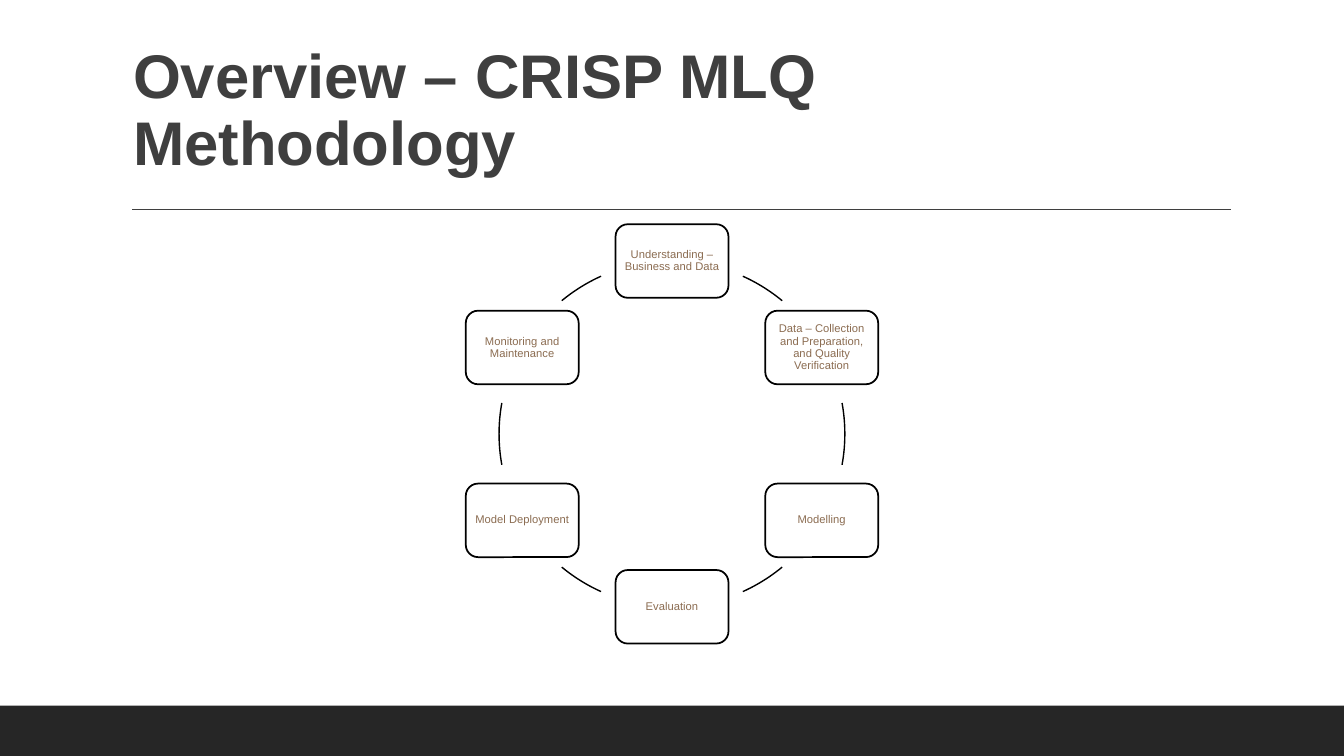
import math

from pptx import Presentation
from pptx import util as u
from pptx.dml.color import RGBColor
from pptx.enum import shapes, text
from pptx.oxml import parse_xml
from pptx.oxml.ns import nsdecls

FONT = "Arial"
WHITE = RGBColor(0xFF, 0xFF, 0xFF)
BLACK = RGBColor(0, 0, 0)
CHARCOAL = RGBColor(0x3F, 0x3F, 0x3F)
FOOTER = RGBColor(0x26, 0x26, 0x26)
BROWN = RGBColor(0x8B, 0x6C, 0x51)

PHASES = [
    "Understanding – Business and Data",
    "Data – Collection and Preparation, and Quality Verification",
    "Modelling",
    "Evaluation",
    "Model Deployment",
    "Monitoring and Maintenance",
]
# Start and end angles of the links on the right half of the ring;
# the left half repeats them half a turn later
HALF_RING = [(294.2, 309.6), (349.7, 10.3), (50.4, 65.8)]
LINKS = HALF_RING + [(a + 180, b + 180) for a, b in HALF_RING]


def write(frame, words, size, color, insets, anchor, align, bold=False):
    frame.word_wrap = True
    frame.vertical_anchor = anchor
    (frame.margin_left, frame.margin_top,
     frame.margin_right, frame.margin_bottom) = map(u.Inches, insets)
    line = frame.paragraphs[0]
    line.alignment = align
    line.line_spacing = 0.9
    run = line.add_run()
    run.text = words
    run.font.name = FONT
    run.font.size = u.Pt(size)
    run.font.bold = bold
    run.font.color.rgb = color


def add_preset(slide, kind, left, top, width, height):
    shape = slide.shapes.add_shape(
        kind, *map(u.Inches, (left, top, width, height)))
    shape.shadow.inherit = False
    return shape


def add_footer(slide, left, top, width, height):
    band = add_preset(slide, shapes.MSO_SHAPE.RECTANGLE,
                      left, top, width, height)
    band.fill.solid()
    band.fill.fore_color.rgb = FOOTER
    band.line.fill.background()


def add_header(slide, left, top, width, height):
    # Rule under the title
    rule_left, rule_top = left + 0.11, top + height + 0.21
    rule = slide.shapes.add_connector(
        shapes.MSO_CONNECTOR.STRAIGHT,
        u.Inches(rule_left), u.Inches(rule_top),
        u.Inches(rule_left + 10.9), u.Inches(rule_top))
    rule.line.color.rgb = CHARCOAL
    rule.line.width = u.Pt(1)
    rule._element.spPr.append(parse_xml(f"<a:effectLst {nsdecls('a')}/>"))

    # Title
    title = slide.shapes.add_textbox(
        *map(u.Inches, (left, top, width, height)))
    write(title.text_frame, "Overview – CRISP MLQ Methodology", 44, CHARCOAL,
          (0.12, 0.12, 0.12, 0.1), text.MSO_ANCHOR.BOTTOM,
          text.PP_ALIGN.LEFT, bold=True)


def add_cycle(slide, left, top, diameter):
    radius = diameter / 2
    card_width, card_height = 1.12, 0.73
    for i, (phase, link) in enumerate(zip(PHASES, LINKS)):
        # Phase card, clockwise from the top
        angle = math.radians(60 * i - 90)
        card = add_preset(
            slide, shapes.MSO_SHAPE.ROUNDED_RECTANGLE,
            left + radius + radius * math.cos(angle) - card_width / 2,
            top + radius + radius * math.sin(angle) - card_height / 2,
            card_width, card_height)
        card.fill.solid()
        card.fill.fore_color.rgb = WHITE
        card.line.color.rgb = BLACK
        card.line.width = u.Pt(1.25)
        write(card.text_frame, phase, 8, BROWN, (0.03,) * 4,
              text.MSO_ANCHOR.MIDDLE, text.PP_ALIGN.CENTER)

        # Link to the next phase; an arc adjustment of 0.6 is one degree
        arc = add_preset(slide, shapes.MSO_SHAPE.ARC,
                         left, top, diameter, diameter)
        for end, degrees in enumerate(link):
            arc.adjustments[end] = degrees % 360 * 0.6
        arc.fill.background()
        arc.line.color.rgb = BLACK
        arc.line.width = u.Pt(1)


def main():
    deck = Presentation()
    deck.slide_width = u.Inches(13.33)
    deck.slide_height = u.Inches(7.5)
    slide = deck.slides.add_slide(deck.slide_layouts[6])
    add_footer(slide, 0, 7, 13.33, 0.5)
    add_header(slide, 1.2, 0.9, 9.63, 0.97)
    add_cycle(slide, 4.95, 2.59, 3.43)
    deck.save("out.pptx")


if __name__ == "__main__":
    main()
